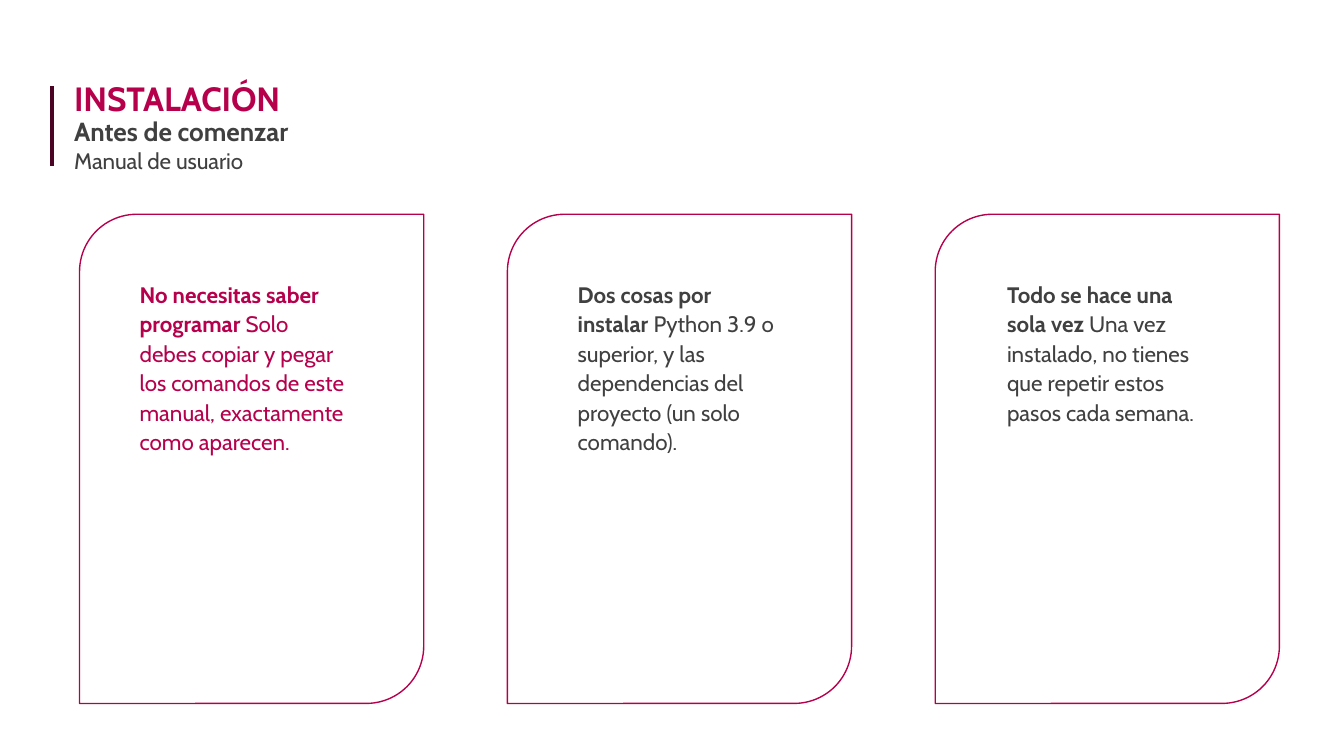
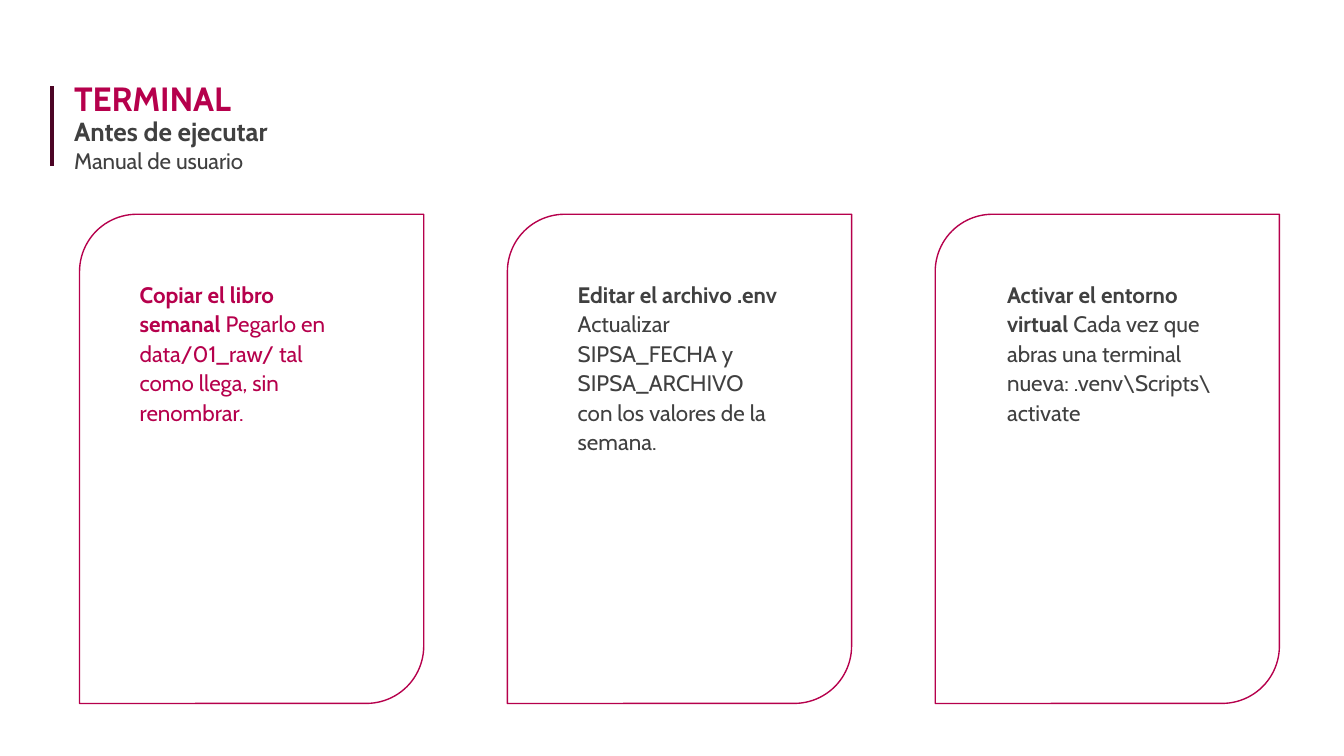
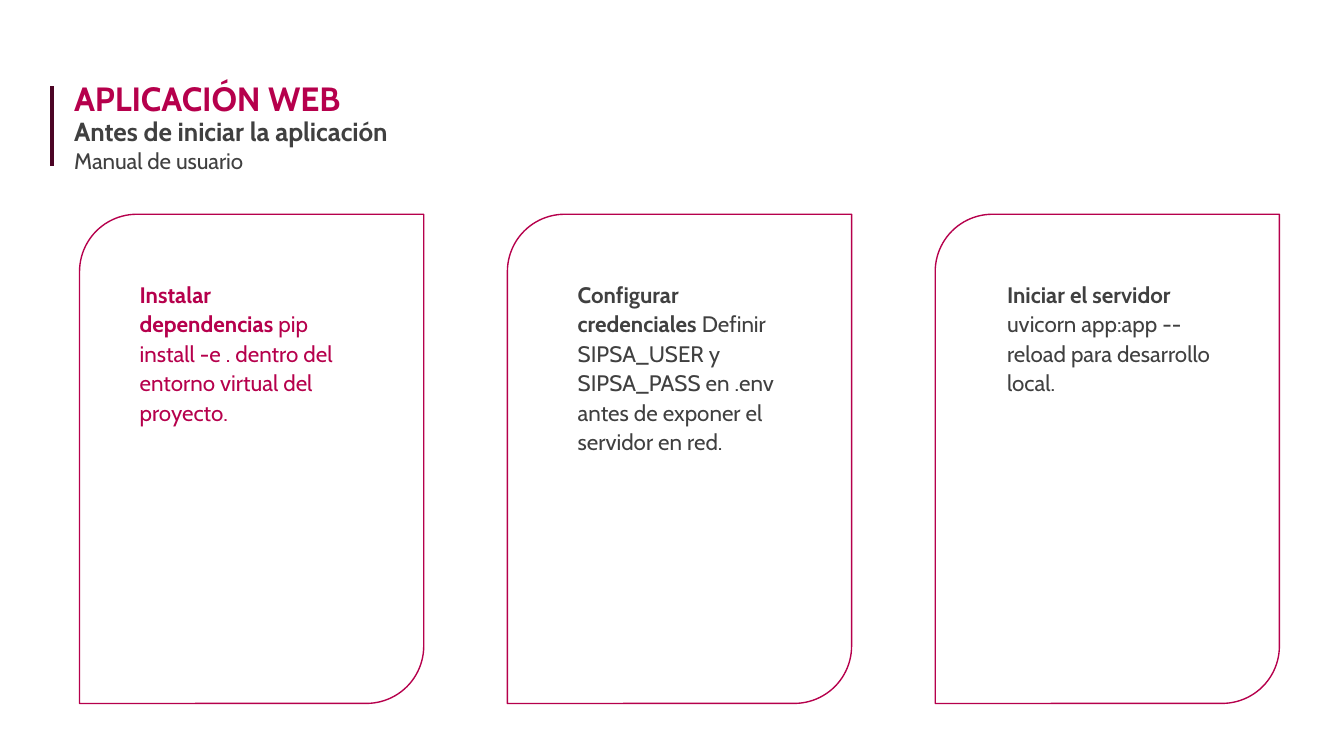
from dataclasses import dataclass

from lxml.etree import SubElement
from pptx import Presentation
from pptx.dml.color import RGBColor
from pptx.enum.shapes import MSO_CONNECTOR, MSO_SHAPE
from pptx.enum.text import MSO_ANCHOR, MSO_AUTO_SIZE
from pptx.oxml.ns import qn
from pptx.slide import Slide
from pptx.text.text import TextFrame, _Paragraph
from pptx.util import Pt

# Shared look
MAGENTA = RGBColor(0xB6, 0x00, 0x4C)
WINE = RGBColor(0x4C, 0x04, 0x25)
GREY = RGBColor(0x40, 0x40, 0x40)
FONT = "Cabin"
FOOTING = "Manual de usuario"
HEADING_SPACING = -0.05

# Card grid, in points
CARD_LEFT, CARD_TOP, CARD_PITCH = 42.6, 114.8, 229.2
CARD_WIDTH, CARD_HEIGHT = 184.4, 262.1
BODY_TOP, BODY_WIDTH, BODY_HEIGHT = 145.5, 130.3, 229.7


@dataclass(frozen=True)
class Insets:
    left: float
    top: float
    right: float
    bottom: float


@dataclass(frozen=True)
class Column:
    text_left: float
    color: RGBColor


@dataclass(frozen=True)
class Card:
    lead: str
    body: str


@dataclass(frozen=True)
class ManualPage:
    title: str
    subtitle: str
    cards: tuple[Card, ...]


HEADING_INSETS = Insets(5.1, 2.9, 5.1, 2.9)
BODY_INSETS = Insets(7.8, 3.6, 12.7, 3.6)

COLUMNS = (Column(67, MAGENTA), Column(301.7, GREY), Column(531.7, GREY))

PAGES = (
    ManualPage("INSTALACIÓN", "Antes de comenzar", (
        Card("No necesitas saber programar",
             "Solo debes copiar y pegar los comandos de este manual, exactamente como aparecen."),
        Card("Dos cosas por instalar",
             "Python 3.9 o superior, y las dependencias del proyecto (un solo comando)."),
        Card("Todo se hace una sola vez",
             "Una vez instalado, no tienes que repetir estos pasos cada semana."),
    )),
    ManualPage("TERMINAL", "Antes de ejecutar", (
        Card("Copiar el libro semanal",
             "Pegarlo en data/01_raw/ tal como llega, sin renombrar."),
        Card("Editar el archivo .env",
             "Actualizar SIPSA_FECHA y SIPSA_ARCHIVO con los valores de la semana."),
        Card("Activar el entorno virtual",
             r"Cada vez que abras una terminal nueva: .venv\Scripts\activate"),
    )),
    ManualPage("APLICACIÓN WEB", "Antes de iniciar la aplicación", (
        Card("Instalar dependencias",
             "pip install -e . dentro del entorno virtual del proyecto."),
        Card("Configurar credenciales",
             "Definir SIPSA_USER y SIPSA_PASS en .env antes de exponer el servidor en red."),
        Card("Iniciar el servidor",
             "uvicorn app:app --reload para desarrollo local."),
    )),
)


def add_text_frame(page: Slide, left: float, top: float, width: float, height: float,
                   insets: Insets) -> TextFrame:
    box = page.shapes.add_textbox(Pt(left), Pt(top), Pt(width), Pt(height))
    formats = {
        "word_wrap": True,
        "auto_size": MSO_AUTO_SIZE.SHAPE_TO_FIT_TEXT,
        "vertical_anchor": MSO_ANCHOR.TOP,
        "margin_left": Pt(insets.left),
        "margin_top": Pt(insets.top),
        "margin_right": Pt(insets.right),
        "margin_bottom": Pt(insets.bottom),
    }
    for name, value in formats.items():
        setattr(box.text_frame, name, value)
    return box.text_frame


def add_span(para: _Paragraph, text: str, size: float, color: RGBColor,
             bold: bool, spacing: float = 0) -> None:
    span = para.add_run()
    span.text = text
    formats = {"name": FONT, "size": Pt(size), "bold": bold}
    for name, value in formats.items():
        setattr(span.font, name, value)
    span.font.color.rgb = color
    if spacing:
        span._r.get_or_add_rPr().set("spc", str(round(spacing * 100)))


def add_heading(page: Slide, content: ManualPage) -> None:
    frame = add_text_frame(page, 34.6, 41.3, 612, 54.7, HEADING_INSETS)
    lines = (
        (content.title, 18, MAGENTA, True, 0.9),
        (content.subtitle, 14, GREY, True, 0.9),
        (FOOTING, 12, GREY, False, 1.0),
    )
    for index, (text, size, color, bold, line_spacing) in enumerate(lines):
        para = frame.add_paragraph() if index else frame.paragraphs[0]
        para.line_spacing = line_spacing
        add_span(para, text, size, color, bold, HEADING_SPACING)

    # Upright rule beside the heading
    rule = page.shapes.add_connector(MSO_CONNECTOR.STRAIGHT, Pt(28), Pt(88.8), Pt(28), Pt(46.2))
    rule.line.color.rgb = WINE
    rule.line.width = Pt(2)
    SubElement(rule._element.spPr, qn("a:effectLst"))


def add_card(page: Slide, card: Card, column: Column, index: int) -> None:
    outline = page.shapes.add_shape(
        MSO_SHAPE.ROUND_2_DIAG_RECTANGLE, Pt(CARD_LEFT + index * CARD_PITCH), Pt(CARD_TOP),
        Pt(CARD_WIDTH), Pt(CARD_HEIGHT))
    outline.shadow.inherit = False
    outline.fill.background()
    outline.line.color.rgb = MAGENTA
    outline.line.width = Pt(0.75)

    frame = add_text_frame(page, column.text_left, BODY_TOP, BODY_WIDTH, BODY_HEIGHT, BODY_INSETS)
    para = frame.paragraphs[0]
    para.line_spacing = 1.1
    add_span(para, card.lead, 12, column.color, True)
    add_span(para, " " + card.body, 12, column.color, False)


def main() -> None:
    deck = Presentation()
    deck.slide_width, deck.slide_height = Pt(720), Pt(405)
    for content in PAGES:
        page = deck.slides.add_slide(deck.slide_layouts[6])
        for index, (card, column) in enumerate(zip(content.cards, COLUMNS)):
            add_card(page, card, column, index)
        add_heading(page, content)
    deck.save("out.pptx")


if __name__ == "__main__":
    main()
